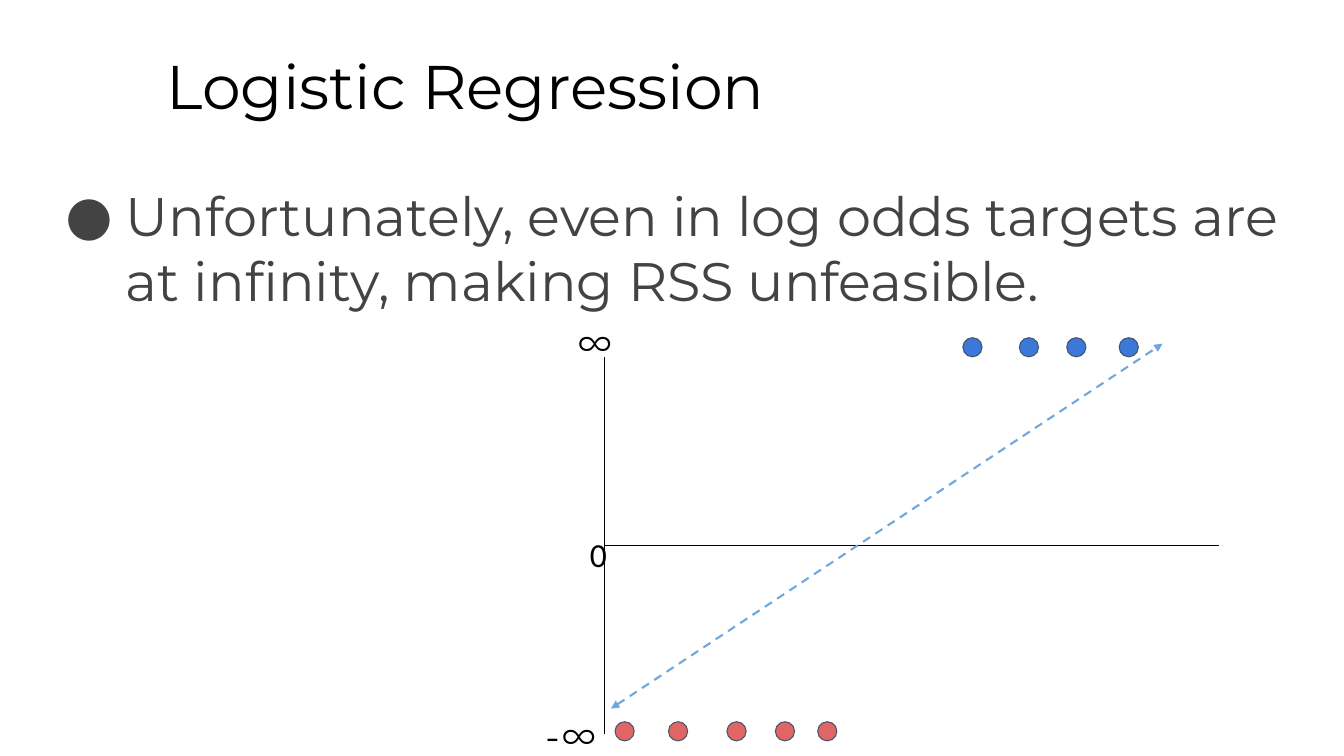
"""Build the logistic regression slide showing log odds targets at infinity."""
from lxml import etree
from pptx import Presentation
from pptx.dml.color import RGBColor
from pptx.enum.dml import MSO_LINE
from pptx.enum.shapes import MSO_CONNECTOR, MSO_SHAPE
from pptx.enum.text import MSO_ANCHOR, MSO_AUTO_SIZE, PP_ALIGN
from pptx.oxml.ns import qn
from pptx.util import Inches, Pt

STRAIGHT = MSO_CONNECTOR.STRAIGHT
ELLIPSE = MSO_SHAPE.OVAL
DASH = MSO_LINE.DASH
TOP = MSO_ANCHOR.TOP
LEFT = PP_ALIGN.LEFT
NO_AUTOFIT = MSO_AUTO_SIZE.NONE

BLACK = RGBColor(0x00, 0x00, 0x00)
GREY = RGBColor(0x43, 0x43, 0x43)
BLUE = RGBColor(0x3C, 0x78, 0xD8)
RED = RGBColor(0xE0, 0x66, 0x66)
SLATE = RGBColor(0x44, 0x54, 0x6A)
LIGHT_BLUE = RGBColor(0x6F, 0xA8, 0xDC)

FONT = "Montserrat"
INSET = 0.13
DOT_SIZE = 0.19
LABEL_SIZE = (0.6, 0.32)

TITLE = "Logistic Regression"
BODY = "Unfortunately, even in log odds targets are at infinity, making RSS unfeasible."
AXES = [((6, 3.54), (6, 7.28)), ((12.09, 5.41), (6, 5.41))]
FIT_LINE = ((6.06, 7.03), (11.53, 3.41))
LABELS = [
    ("0", 5.72, 5.17, "Calibri", 24),
    ("∞", 5.6, 3.05, FONT, 26.7),
    ("∞", 5.44, 6.94, FONT, 26.7),
    ("-", 5.28, 6.94, FONT, 26.7),
]
DOT_ROWS = [
    (3.35, BLUE, [9.55, 10.11, 10.58, 11.1]),
    (7.16, RED, [6.1, 6.63, 7.21, 7.69, 8.11]),
]


def place(shape, left, top, width, height):
    shape.left, shape.top = Inches(left), Inches(top)
    shape.width, shape.height = Inches(width), Inches(height)


def write(shape, text, font_name, size, color):
    frame = shape.text_frame
    frame.text = text
    frame.word_wrap = True
    frame.auto_size = NO_AUTOFIT
    frame.vertical_anchor = TOP
    frame.margin_left = frame.margin_right = Inches(INSET)
    frame.margin_top = frame.margin_bottom = Inches(INSET)
    paragraph = frame.paragraphs[0]
    paragraph.alignment = LEFT
    font = paragraph.runs[0].font
    font.name, font.size, font.color.rgb = font_name, Pt(size), color
    return paragraph


def add_bullet(paragraph, color):
    properties = paragraph._p.get_or_add_pPr()
    properties.set("marL", str(Inches(0.67)))
    properties.set("indent", str(Inches(-0.6)))
    bullet_color = etree.SubElement(properties, qn("a:buClr"))
    etree.SubElement(bullet_color, qn("a:srgbClr"), val=str(color))
    etree.SubElement(properties, qn("a:buFont"), typeface=FONT)
    etree.SubElement(properties, qn("a:buChar"), char="●")


def add_line(slide, start, end, color, width):
    points = [Inches(value) for value in (*start, *end)]
    connector = slide.shapes.add_connector(STRAIGHT, *points)
    connector.line.color.rgb = color
    connector.line.width = Pt(width)
    etree.SubElement(connector._element.spPr, qn("a:effectLst"))
    return connector


def add_dot(slide, left, top, color):
    dot = slide.shapes.add_shape(ELLIPSE, 0, 0, 0, 0)
    place(dot, left, top, DOT_SIZE, DOT_SIZE)
    dot.shadow.inherit = False
    dot.fill.solid()
    dot.fill.fore_color.rgb = color
    dot.line.color.rgb = SLATE
    dot.line.width = Pt(0.75)


def main():
    presentation = Presentation()
    presentation.slide_width = Inches(13.33)
    presentation.slide_height = Inches(7.5)
    slide = presentation.slides.add_slide(presentation.slide_layouts[5])

    title = slide.shapes.title
    place(title, 1.52, 0.43, 11.36, 0.84)
    write(title, TITLE, FONT, 44, BLACK).line_spacing = 0.9

    body = slide.shapes.add_textbox(0, 0, 0, 0)
    place(body, 0.45, 1.68, 12.66, 4.25)
    add_bullet(write(body, BODY, FONT, 38.7, GREY), GREY)

    for start, end in AXES:
        add_line(slide, start, end, BLACK, 0.75)

    for text, left, top, font_name, size in LABELS:
        label = slide.shapes.add_textbox(0, 0, 0, 0)
        place(label, left, top, *LABEL_SIZE)
        write(label, text, font_name, size, BLACK)

    for top, color, lefts in DOT_ROWS:
        for left in lefts:
            add_dot(slide, left, top, color)

    fit_line = add_line(slide, *FIT_LINE, LIGHT_BLUE, 1.5).line
    fit_line.dash_style = DASH
    for end_tag in ("a:headEnd", "a:tailEnd"):
        etree.SubElement(fit_line._get_or_add_ln(), qn(end_tag), type="triangle")

    presentation.save("out.pptx")


if __name__ == "__main__":
    main()
